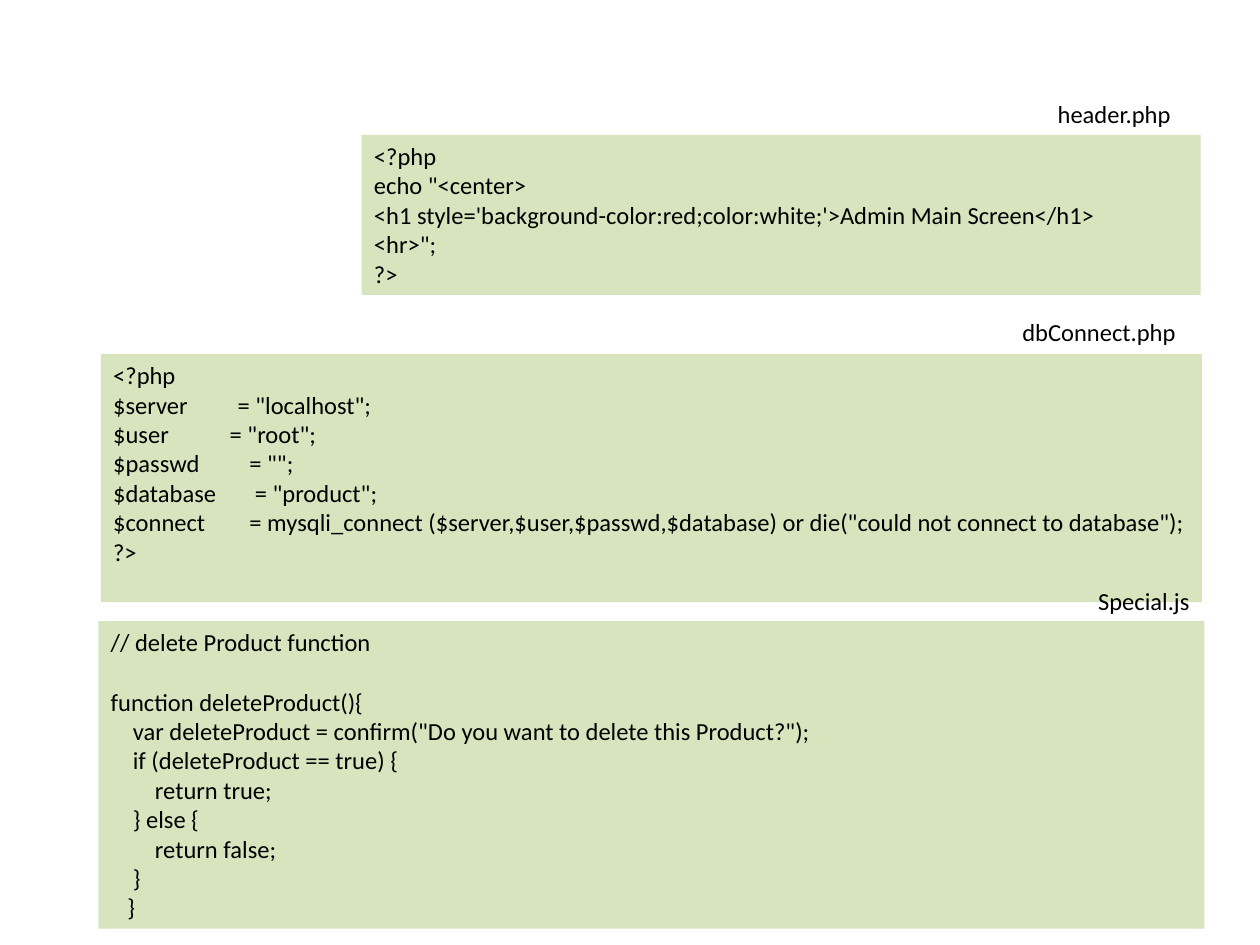
from pptx import Presentation
from pptx.dml.color import RGBColor
from pptx.enum.shapes import MSO_SHAPE as Shape
from pptx.enum.text import MSO_ANCHOR as Anchor, PP_ALIGN as Align
from pptx.util import Inches, Pt

PANEL_FILL = "D7E4BD"
TEXT_COLOR = "000000"
FONT_FORMAT = {"name": "Calibri", "size": Pt(14)}
FRAME_FORMAT = {
    "word_wrap": True,
    "vertical_anchor": Anchor.TOP,
    "margin_left": Inches(0.1),
    "margin_right": Inches(0.1),
    "margin_top": Inches(0.05),
    "margin_bottom": Inches(0.05),
}
LINE_HEIGHT = Pt(17)

HEADER_CODE = """<?php
echo "<center>
<h1 style='background-color:red;color:white;'>Admin Main Screen</h1>
<hr>";
?>"""

CONNECT_CODE = """<?php
$server         = "localhost";
$user           = "root";
$passwd         = "";
$database       = "product";
$connect        = mysqli_connect ($server,$user,$passwd,$database) or die("could not connect to database");
?>"""

SCRIPT_CODE = """// delete Product function

function deleteProduct(){
    var deleteProduct = confirm("Do you want to delete this Product?");
    if (deleteProduct == true) {
        return true;
    } else {
        return false;
    }
   }"""

LISTINGS = [
    ("header.php", (8.16, 0.74, 1.23, 0.34), HEADER_CODE, (2.87, 1.07, 6.66, 1.27)),
    ("dbConnect.php", (7.65, 2.47, 1.78, 0.34), CONNECT_CODE, (0.8, 2.81, 8.74, 1.97)),
    ("Special.js", (7.76, 4.6, 1.78, 0.34), SCRIPT_CODE, (0.78, 4.93, 8.78, 2.44)),
]


def color(value):
    return RGBColor.from_string(value)


def apply_format(target, values):
    for name, value in values.items():
        setattr(target, name, value)


def write_lines(frame, text, alignment):
    apply_format(frame, FRAME_FORMAT)
    paragraph = frame.paragraphs[0]
    gap = 0
    for index, line in enumerate(text.split("\n")):
        if not line:
            gap += LINE_HEIGHT
            continue
        if index:
            paragraph = frame.add_paragraph()
        paragraph.alignment = alignment
        if gap:
            paragraph.space_before = Pt(gap / Pt(1))
            gap = 0
        run = paragraph.add_run()
        run.text = line
        apply_format(run.font, FONT_FORMAT)
        run.font.color.rgb = color(TEXT_COLOR)


def add_code_panel(slide, code, box):
    shape = slide.shapes.add_shape(Shape.RECTANGLE, *map(Inches, box))
    shape.shadow.inherit = False
    shape.fill.solid()
    shape.fill.fore_color.rgb = color(PANEL_FILL)
    shape.line.fill.background()
    write_lines(shape.text_frame, code, Align.LEFT)


def add_file_label(slide, file_name, box):
    shape = slide.shapes.add_textbox(*map(Inches, box))
    write_lines(shape.text_frame, file_name, Align.RIGHT)


def main():
    presentation = Presentation()
    presentation.slide_width = Inches(10)
    presentation.slide_height = Inches(7.5)
    slide = presentation.slides.add_slide(presentation.slide_layouts[6])
    for file_name, label_box, code, panel_box in LISTINGS:
        add_code_panel(slide, code, panel_box)
        add_file_label(slide, file_name, label_box)
    presentation.save("out.pptx")


if __name__ == "__main__":
    main()
